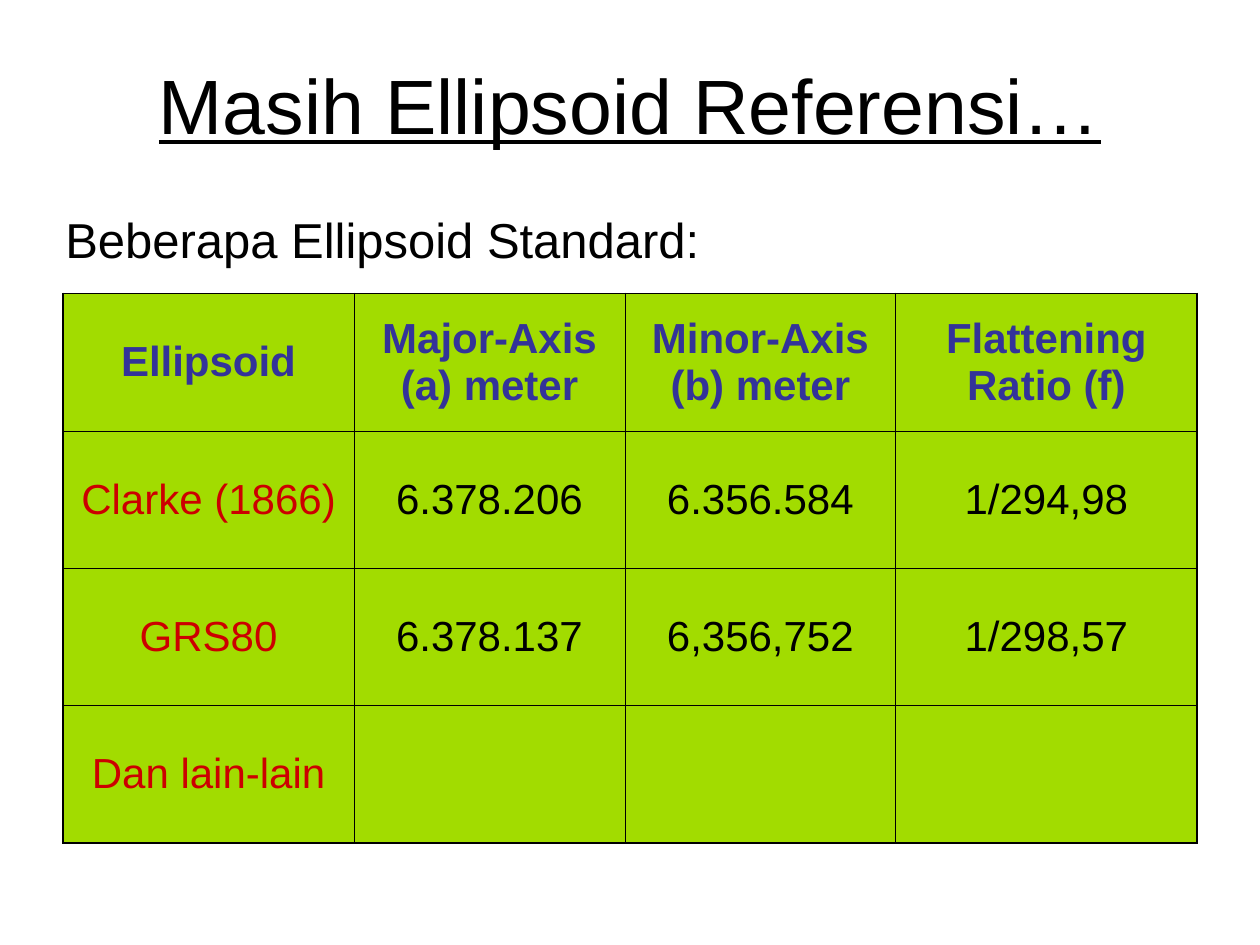
from lxml import etree
from pptx import Presentation
from pptx import util as u
from pptx.dml.color import RGBColor
from pptx.enum import text
from pptx.oxml import ns

COLORS = {
    "black": "000000",
    "white": "FFFFFF",
    "cell": "A2DC00",
    "header": "333399",
    "name": "CC0000",
}
FONT = "Arial"
OUTER, INNER = 1.08, 0.45

ROWS = [
    ["Ellipsoid", "Major-Axis (a) meter", "Minor-Axis (b) meter", "Flattening Ratio (f)"],
    ["Clarke (1866)", "6.378.206", "6.356.584", "1/294,98"],
    ["GRS80", "6.378.137", "6,356,752", "1/298,57"],
    ["Dan lain-lain", "", "", ""],
]
COL_WIDTHS = [2.31, 2.15, 2.15, 2.39]
ROW_HEIGHT = 1.09


class Deck:
    def __init__(self, prs):
        self.s = prs.slides.add_slide(prs.slide_layouts[6])

    def style(self, p, size, color, align, bold=False, underline=False):
        p.alignment = align
        f = p.font
        f.name, f.size = FONT, u.Pt(size)
        f.bold, f.underline = bold, underline
        f.color.rgb = RGBColor.from_string(COLORS[color])

    def textbox(self, words, box, size, align, wrap=True, underline=False):
        sp = self.s.shapes.add_textbox(*map(u.Inches, box))
        tf = sp.text_frame
        tf.word_wrap = wrap
        tf.vertical_anchor = text.MSO_ANCHOR.MIDDLE
        tf.text = words
        self.style(tf.paragraphs[0], size, "black", align, underline=underline)
        return sp

    def veil(self, sp, opacity):
        """Fill a shape with see-through white; opacity is in percent."""
        sp.fill.solid()
        sp.fill.fore_color.rgb = RGBColor.from_string(COLORS["white"])
        color = sp.fill._xPr.find(".//" + ns.qn("a:srgbClr"))
        etree.SubElement(color, ns.qn("a:alpha"), val=str(opacity * 1000))

    def border(self, cell, side, width):
        """Draw one cell edge; side is L, R, T or B."""
        tc_pr = cell._tc.get_or_add_tcPr()
        ln = etree.SubElement(tc_pr, ns.qn("a:ln" + side), w=str(int(u.Pt(width))))
        fill = etree.SubElement(ln, ns.qn("a:solidFill"))
        etree.SubElement(fill, ns.qn("a:srgbClr"), val=COLORS["black"])

    def table(self, rows, left, top, col_widths, row_height):
        last_row, last_col = len(rows) - 1, len(col_widths) - 1
        table = self.s.shapes.add_table(
            len(rows), len(col_widths), u.Inches(left), u.Inches(top),
            u.Inches(sum(col_widths)), u.Inches(row_height * len(rows))).table
        for column, width in zip(table.columns, col_widths):
            column.width = u.Inches(width)
        for i, row in enumerate(rows):
            for j, words in enumerate(row):
                cell = table.cell(i, j)
                edges = {"L": j == 0, "R": j == last_col, "T": i == 0, "B": i == last_row}
                for side, is_outer in edges.items():
                    self.border(cell, side, OUTER if is_outer else INNER)
                cell.fill.solid()
                cell.fill.fore_color.rgb = RGBColor.from_string(COLORS["cell"])
                cell.vertical_anchor = text.MSO_ANCHOR.MIDDLE
                cell.text = words
                color = "header" if i == 0 else "name" if j == 0 else "black"
                self.style(cell.text_frame.paragraphs[0], 24, color,
                           text.PP_ALIGN.CENTER, bold=i == 0)


def main():
    prs = Presentation()
    prs.slide_width, prs.slide_height = u.Inches(10), u.Inches(7.5)
    deck = Deck(prs)
    deck.textbox("Masih Ellipsoid Referensi…", (0.5, 0.39, 9, 0.86), 44,
                 text.PP_ALIGN.CENTER, underline=True)
    deck.table(ROWS, 0.5, 2.33, COL_WIDTHS, ROW_HEIGHT)
    intro = deck.textbox("Beberapa Ellipsoid Standard:", (0.42, 1.61, 5.23, 0.57), 28,
                         text.PP_ALIGN.LEFT, wrap=False)
    deck.veil(intro, 58)
    prs.save("out.pptx")


if __name__ == "__main__":
    main()
